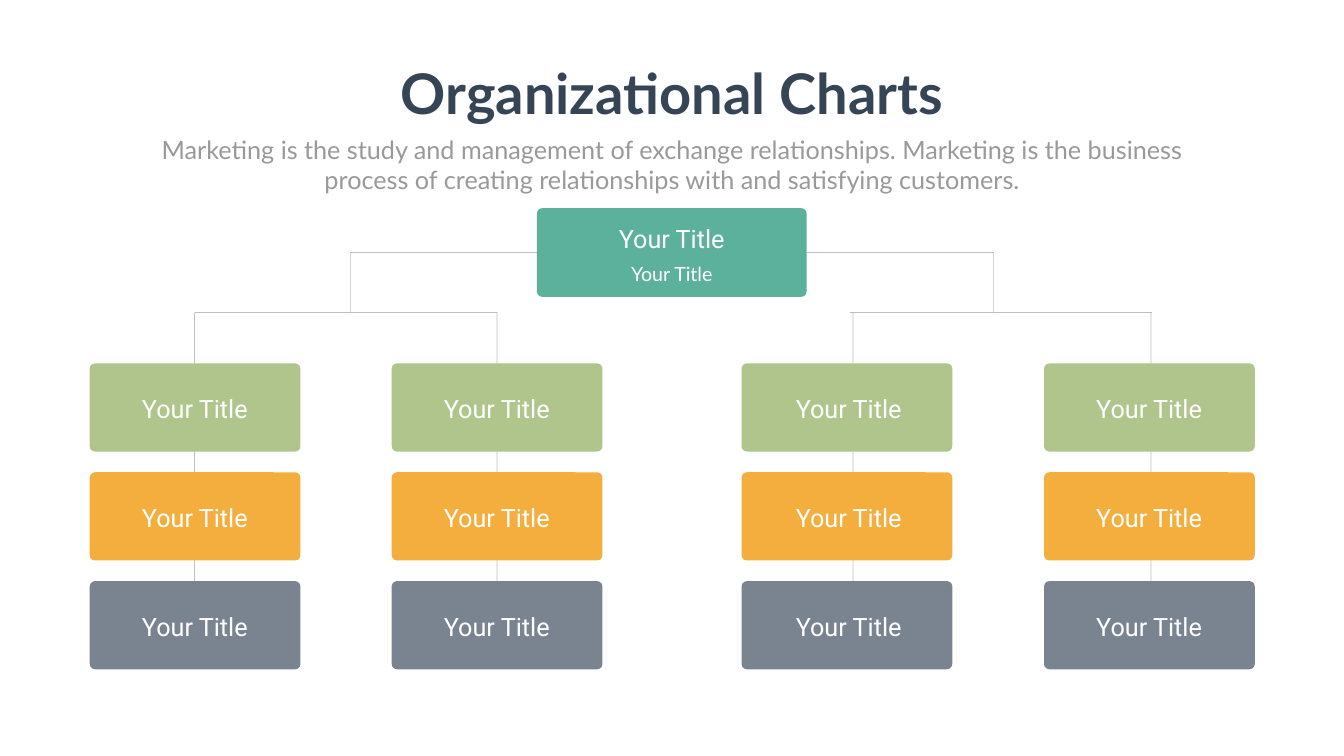
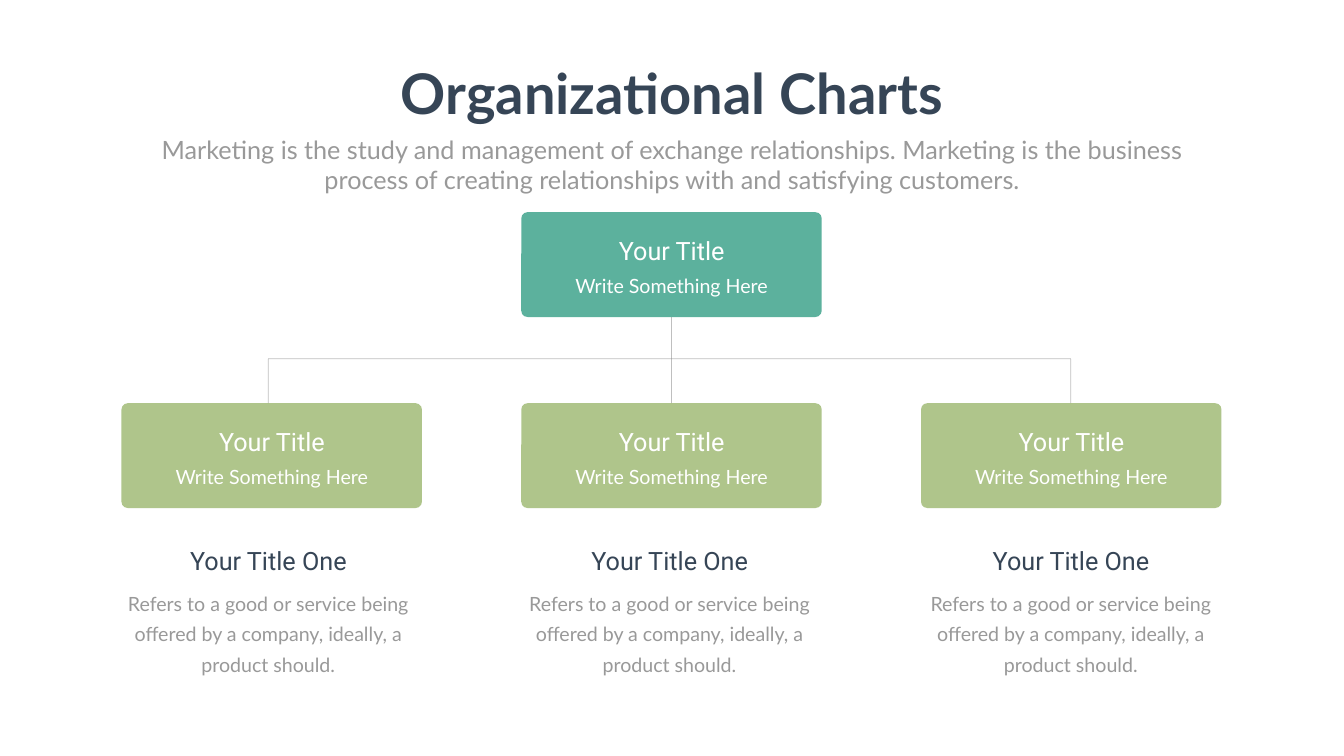
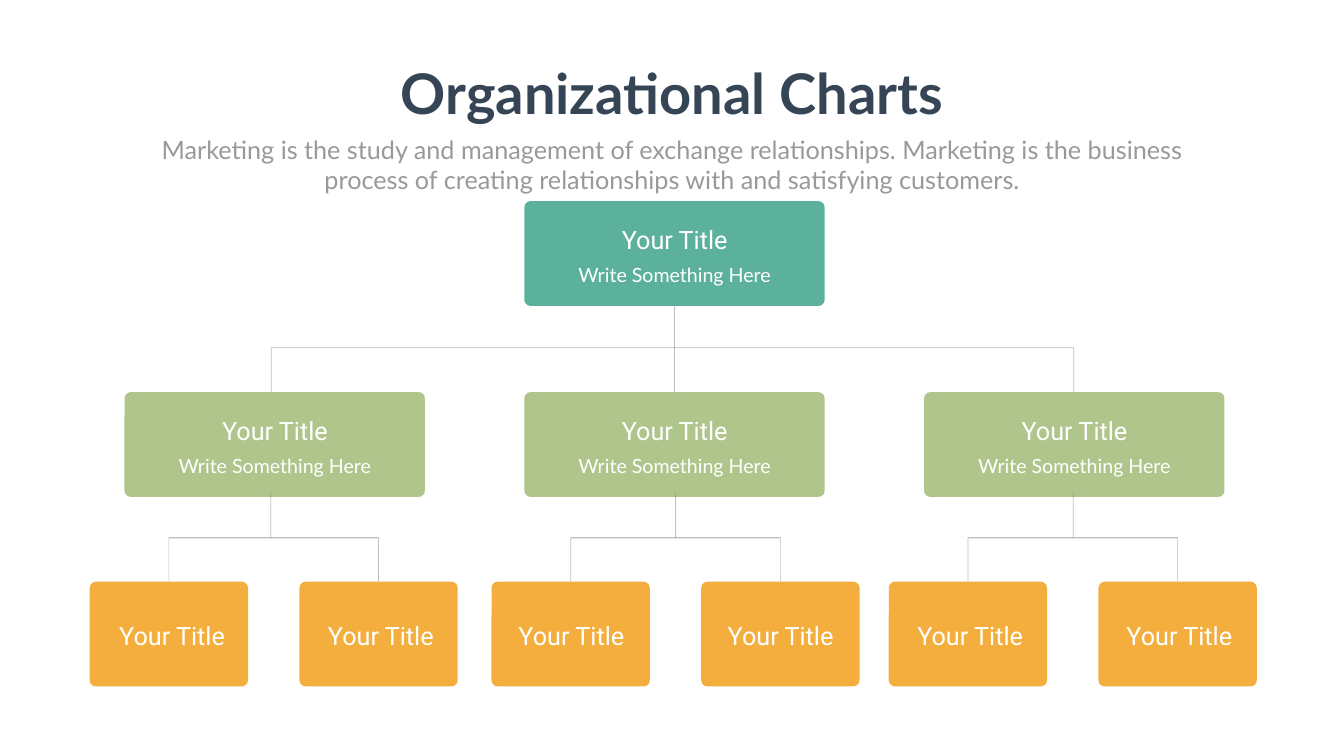
"""Build three organizational chart slides."""
from dataclasses import dataclass, replace
from typing import Optional

from lxml.etree import SubElement
from pptx import Presentation
from pptx.dml.color import RGBColor
from pptx.enum.shapes import MSO_CONNECTOR as Connector, MSO_SHAPE as Shape
from pptx.enum.text import MSO_AUTO_SIZE as AutoSize, PP_ALIGN as Align
from pptx.oxml.ns import qn
from pptx.util import Pt

PX = 9144
WHITE = RGBColor(0xFF, 0xFF, 0xFF)
NAVY = RGBColor(0x36, 0x45, 0x56)
GRAY = RGBColor(0x99, 0x99, 0x99)
LINK = RGBColor(0x80, 0x80, 0x80)
TEAL = RGBColor(0x5C, 0xB1, 0x9D)
GREEN = RGBColor(0xAF, 0xC5, 0x8B)
AMBER = RGBColor(0xF3, 0xAE, 0x3E)
SLATE = RGBColor(0x7A, 0x84, 0x91)
TOP, LEFT, BOTTOM, RIGHT = range(4)


@dataclass(frozen=True)
class Area:
    left: int
    top: int
    width: int
    height: int

    @property
    def center(self) -> int:
        return self.left + self.width // 2

    @property
    def emu(self) -> list[int]:
        return [length * PX for length in (self.left, self.top, self.width, self.height)]


@dataclass(frozen=True)
class Style:
    font: str
    size: int
    color: RGBColor
    bold: bool = False
    leading: Optional[float] = None
    wrap: bool = True
    inset: Optional[tuple[int, int]] = None


@dataclass(frozen=True)
class Column:
    left: int
    spine: int
    label_left: int


@dataclass(frozen=True)
class LeafPair:
    left: int
    stub: int
    label_lefts: tuple[int, int]


HEADLINE = Style("Lato", 80, NAVY, bold=True, wrap=False)
INTRO = Style("Lato", 36, GRAY)
CARD_TITLE = Style("Roboto", 36, WHITE)
CARD_CAPTION = Style("Lato", 28, WHITE, leading=40.8)
TOPIC_TITLE = replace(CARD_TITLE, color=NAVY)
TOPIC_BODY = Style("Lato", 28, GRAY, leading=43, inset=(24, 12))

LABEL_WIDTH, LABEL_HEIGHT = 413, 66
CARD_WIDTH, CARD_HEIGHT, CARD_STEP = 596, 208, 793

COLUMNS = (Column(178, 386, 180), Column(777, 986, 779),
           Column(1471, 1692, 1477), Column(2071, 2283, 2073))
LEVEL_COLORS = (GREEN, AMBER, SLATE)
LEAF_PAIRS = (LeafPair(178, 537, (135, 549)), LeafPair(975, 1340, (927, 1342)),
              LeafPair(1763, 2129, (1718, 2133)))


def add_text(slide, area: Area, text: str, style: Style) -> None:
    """Place one centred paragraph."""
    frame = slide.shapes.add_textbox(*area.emu).text_frame
    frame.word_wrap = style.wrap
    frame.auto_size = AutoSize.SHAPE_TO_FIT_TEXT
    if style.inset:
        frame.margin_left = frame.margin_right = style.inset[0] * PX
        frame.margin_top = frame.margin_bottom = style.inset[1] * PX
    paragraph = frame.paragraphs[0]
    paragraph.text = text
    paragraph.alignment = Align.CENTER
    if style.leading:
        paragraph.line_spacing = Pt(style.leading)
    font = paragraph.font
    font.name, font.size, font.bold = style.font, Pt(style.size), style.bold
    font.color.rgb = style.color


def add_card(slide, area: Area, color: RGBColor):
    """Draw a rounded box without outline."""
    card = slide.shapes.add_shape(Shape.ROUNDED_RECTANGLE, *area.emu)
    card.adjustments[0] = 0.06
    card.fill.solid()
    card.fill.fore_color.rgb = color
    card.line.fill.background()
    card.shadow.inherit = False
    return card


def add_link(slide, x1: int, y1: int, x2: int, y2: int, weight: int = 1):
    """Draw a half-transparent gray line."""
    link = slide.shapes.add_connector(
        Connector.STRAIGHT, *(length * PX for length in (x1, y1, x2, y2)))
    link.line.width = Pt(weight)
    link.line.color.rgb = LINK
    properties = link._element.spPr
    SubElement(properties.find(".//" + qn("a:srgbClr")), qn("a:alpha"), val="50000")
    SubElement(properties, qn("a:effectLst"))
    return link


def add_label(slide, left: int, top: int) -> None:
    """Write a one-line card title."""
    add_text(slide, Area(left, top, LABEL_WIDTH, LABEL_HEIGHT), "Your Title", CARD_TITLE)


def add_card_text(slide, area: Area, drop: int, caption: str, width: int) -> None:
    """Write a title and its caption centred on a card."""
    title_top = area.top + drop
    add_label(slide, area.center - LABEL_WIDTH // 2, title_top)
    add_text(slide, Area(area.center - width // 2, title_top + LABEL_HEIGHT, width, 60),
             caption, CARD_CAPTION)


def add_slide(deck):
    """Start a slide with the shared heading."""
    slide = deck.slides.add_slide(deck.slide_layouts[6])
    add_text(slide, Area(770, 112, 1126, 145), "Organizational Charts", HEADLINE)
    add_text(slide, Area(292, 261, 2082, 131),
             "Marketing is the study and management of exchange relationships. "
             "Marketing is the business process of creating relationships with "
             "and satisfying customers.", INTRO)
    return slide


def add_tree(slide, left: int, top: int) -> None:
    """Draw a root card above three linked cards."""
    branch_top, rail = top + 379, top + 291
    root_area = Area(left + CARD_STEP, top, CARD_WIDTH, CARD_HEIGHT)
    branch_areas = [Area(left + i * CARD_STEP, branch_top, CARD_WIDTH, CARD_HEIGHT)
                    for i in range(3)]
    root = add_card(slide, root_area, TEAL)
    branches = [add_card(slide, area, GREEN) for area in branch_areas]
    for area in (root_area, *branch_areas):
        add_card_text(slide, area, 41, "Write Something Here", 494)
    rail_left, rail_right = left + 291, left + 1883
    add_link(slide, rail_left, rail, rail_right, rail)
    for x in (rail_left, rail_right):
        add_link(slide, x, rail, x, branch_top)
    trunk = add_link(slide, root_area.center, top + CARD_HEIGHT,
                     root_area.center, branch_top)
    trunk.begin_connect(root, BOTTOM)
    trunk.end_connect(branches[1], TOP)


def build_columns(deck) -> None:
    """Build the chart with four columns of three levels."""
    slide = add_slide(deck)
    arm, rail = 501, 620
    for column in COLUMNS:
        add_link(slide, column.spine, rail, column.spine, 1222)
    root_area = Area(1065, 413, 535, 176)
    root = add_card(slide, root_area, TEAL)
    add_card_text(slide, root_area, 26, "Your Title", 335)
    for column in COLUMNS:
        for level, color in enumerate(LEVEL_COLORS):
            top = 721 + 216 * level
            add_card(slide, Area(column.left, top, 418, 175), color)
            add_label(slide, column.label_left, top + 55)
    for side, root_edge, elbow, rail_left in ((LEFT, 1065, 695, 387),
                                             (RIGHT, 1600, 1971, 1686)):
        add_link(slide, root_edge, arm, elbow, arm).begin_connect(root, side)
        add_link(slide, elbow, arm, elbow, rail)
        add_link(slide, rail_left, rail, rail_left + 599, rail)


def build_topics(deck) -> None:
    """Build the chart with a description under each branch."""
    slide = add_slide(deck)
    add_tree(slide, 241, 421)
    for i in range(3):
        shift = 796 * i
        add_text(slide, Area(249 + shift, 1078, 567, 71), "Your Title One", TOPIC_TITLE)
        add_text(slide, Area(212 + shift, 1150, 640, 200),
                 "Refers to a good or service being offered by a company, "
                 "ideally, a product should.", TOPIC_BODY)


def build_leaves(deck) -> None:
    """Build the chart with two leaves under each branch."""
    slide = add_slide(deck)
    add_tree(slide, 247, 399)
    rail, leaf_top = 1067, 1154
    for pair in LEAF_PAIRS:
        areas = [Area(pair.left + shift, leaf_top, 314, CARD_HEIGHT) for shift in (0, 416)]
        add_link(slide, pair.stub, 979, pair.stub, rail)
        add_link(slide, areas[0].center, rail, areas[1].center, rail, weight=0)
        for area, label_left in zip(areas, pair.label_lefts):
            leaf = add_card(slide, area, AMBER)
            drop = add_link(slide, area.center, rail, area.center, leaf_top)
            drop.end_connect(leaf, TOP)
            add_label(slide, label_left, leaf_top + 71)


def main() -> None:
    """Build and save the deck."""
    deck = Presentation()
    deck.slide_width, deck.slide_height = 2666 * PX, 1500 * PX
    for build in (build_columns, build_topics, build_leaves):
        build(deck)
    deck.save("out.pptx")


if __name__ == "__main__":
    main()
